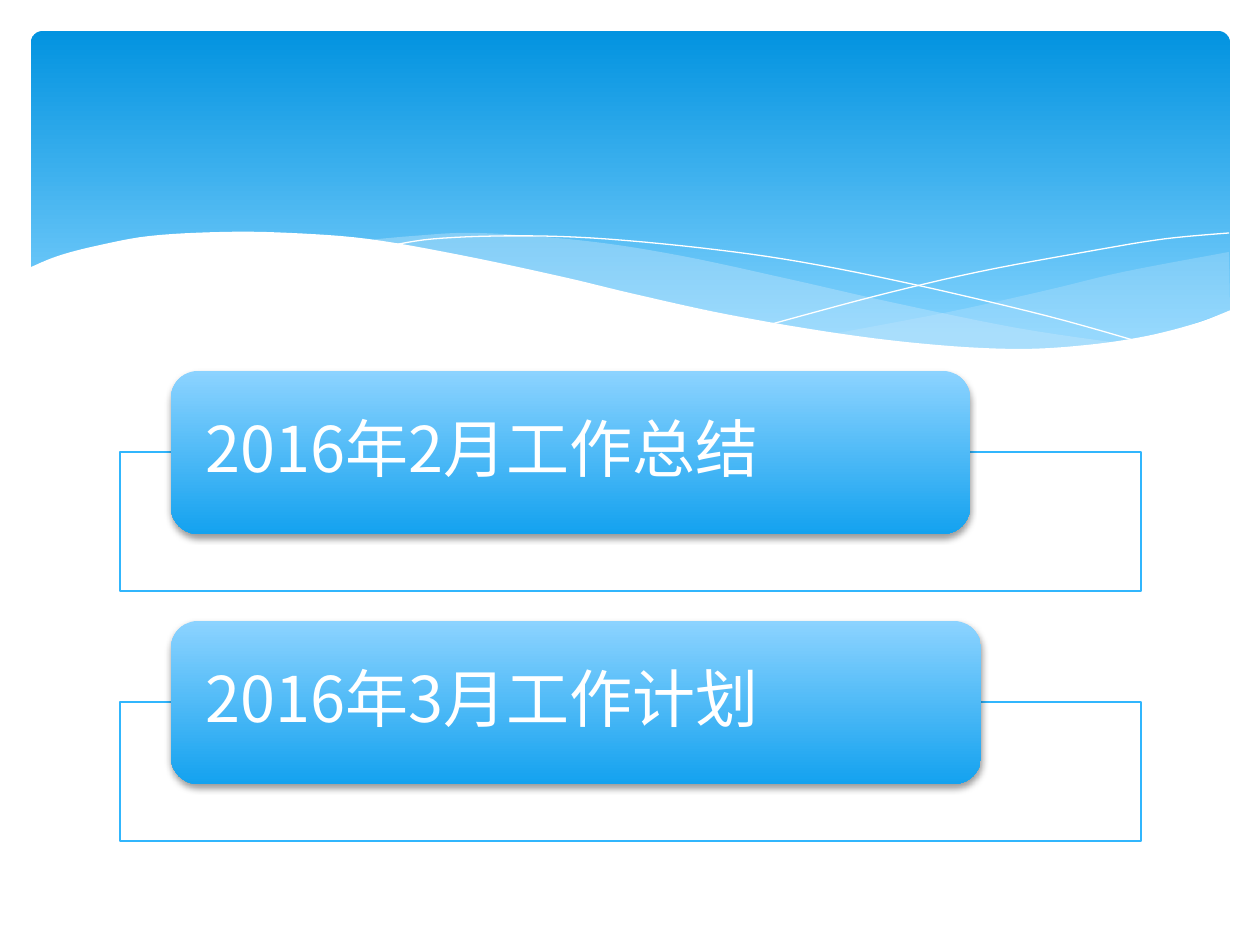
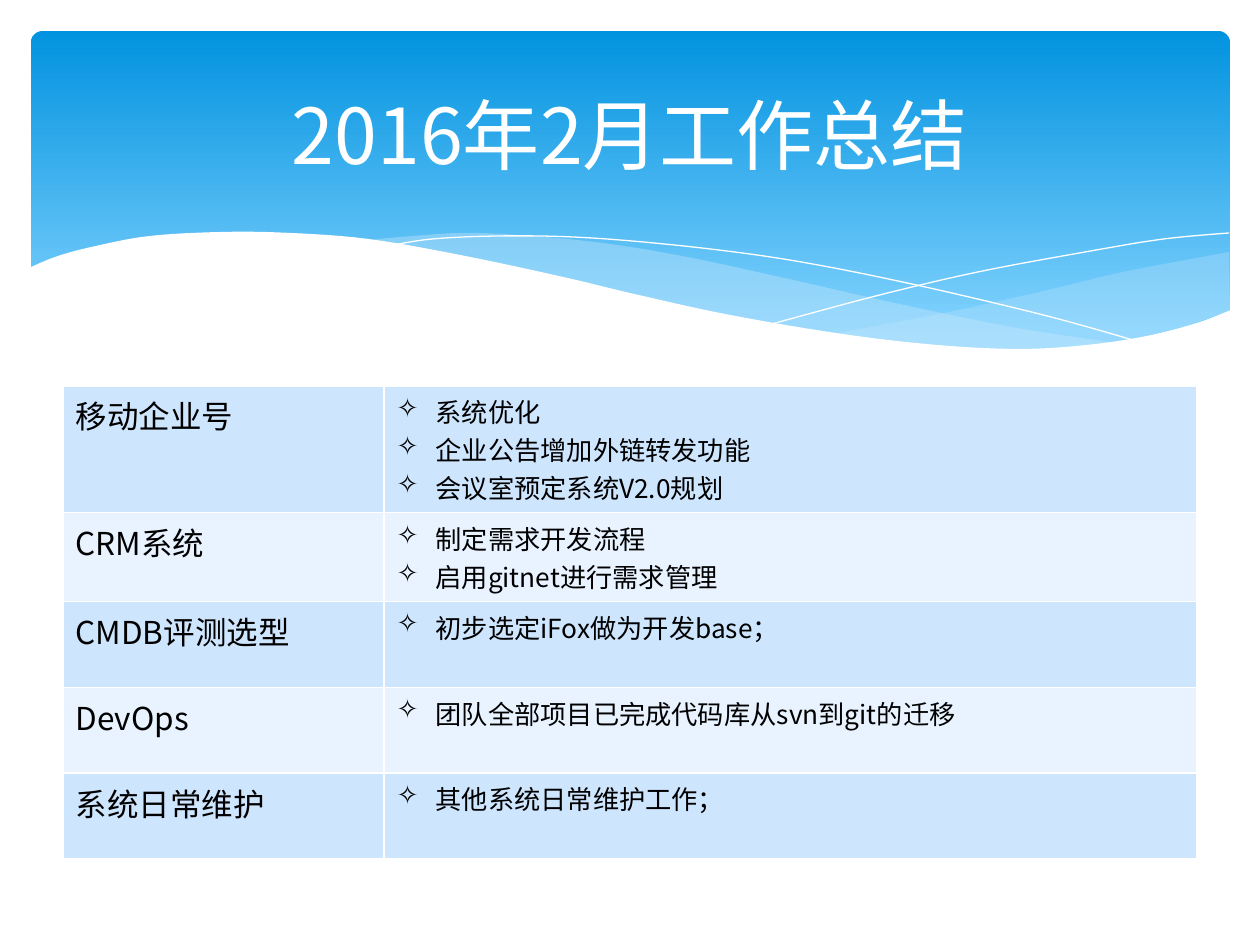
"""Build a two-slide monthly report: an agenda and a work summary table."""
from dataclasses import dataclass
from itertools import chain
from typing import Optional

from lxml.etree import SubElement
from pptx import Presentation
from pptx.dml.color import RGBColor
from pptx.enum.shapes import MSO_SHAPE as Preset
from pptx.enum.text import MSO_ANCHOR as Anchor, PP_ALIGN as Align
from pptx.oxml.ns import qn
from pptx.util import Emu, Pt

SCALE = 914400 / 126
FONT = "Noto Sans CJK SC"
WHITE = RGBColor(0xFF, 0xFF, 0xFF)
BLACK = RGBColor(0, 0, 0)
BAND_TOP = RGBColor(0x02, 0x93, 0xE0)
BAND_BOTTOM = RGBColor(0x83, 0xD3, 0xFE)
MIST = RGBColor(0xC6, 0xE7, 0xFC)
FRAME_LINE = RGBColor(0x31, 0xB6, 0xFD)
LABEL_TOP = RGBColor(0x8C, 0xD3, 0xFF)
LABEL_BOTTOM = RGBColor(0x14, 0xA2, 0xEF)
ROW_FILLS = (RGBColor(0xCE, 0xE5, 0xFE), RGBColor(0xE8, 0xF3, 0xFF))
BULLET = "✧"
BULLET_INDENT = 39
SUMMARY_TITLE = "2016年2月工作总结"

Point = tuple[float, float]


@dataclass(frozen=True)
class Wave:
    """A smooth outline made of edges, filled or drawn as a hairline."""
    edges: tuple[tuple[Point, ...], ...]
    fill: Optional[RGBColor] = None
    opacity: int = 100


@dataclass(frozen=True)
class AgendaItem:
    """One agenda label with its width."""
    label: str
    width: int


@dataclass(frozen=True)
class WorkArea:
    """One table row: an area and what was done in it."""
    name: str
    results: tuple[str, ...]


WAVES = (
    Wave((((1229, 252), (1123, 272), (1048, 290), (949, 312), (833, 334)),
          ((833, 334), (888, 341), (954, 348), (1026, 350), (1099, 345),
           (1160, 334), (1230, 311))), MIST, 29),
    Wave((((1125, 344), (1017, 328), (890, 302), (793, 280), (682, 256),
           (586, 241), (479, 233), (413, 236), (360, 241)),
          ((360, 241), (456, 256), (566, 280), (668, 302), (779, 325),
           (876, 340), (959, 349), (1031, 350), (1080, 349), (1125, 344))), MIST, 40),
    Wave((((389, 246), (433, 239), (505, 236), (591, 238), (701, 248),
           (801, 262), (916, 285), (1047, 316), (1143, 343)),)),
    Wave((((772, 324), (876, 296), (978, 272), (1091, 251), (1164, 239), (1229, 233)),)),
    Wave((((1231, 310), (1197, 323), (1147, 336), (1087, 345), (1019, 349),
           (937, 345), (842, 334), (730, 315), (634, 294), (563, 277), (460, 255),
           (368, 239), (290, 233), (223, 232), (150, 236), (96, 246), (58, 256),
           (29, 268)), ((29, 415), (1231, 415))), WHITE),
)
AGENDA = (AgendaItem(SUMMARY_TITLE, 799), AgendaItem("2016年3月工作计划", 810))
WORK_AREAS = (
    WorkArea("移动企业号", ("系统优化", "企业公告增加外链转发功能", "会议室预定系统V2.0规划")),
    WorkArea("CRM系统", ("制定需求开发流程", "启用gitnet进行需求管理")),
    WorkArea("CMDB评测选型", ("初步选定iFox做为开发base；",)),
    WorkArea("DevOps", ("团队全部项目已完成代码库从svn到git的迁移",)),
    WorkArea("系统日常维护", ("其他系统日常维护工作；",)),
)


def px(length: float) -> Emu:
    """Turn pixels into EMU."""
    return Emu(round(length * SCALE))


def box(*lengths: float) -> list[Emu]:
    """Turn left, top, width and height into EMU."""
    return [px(length) for length in lengths]


def write(frame, lines, *, size, color, align=Align.LEFT, bullet=None, spacing=None) -> None:
    """Write one formatted paragraph per line into a text frame."""
    for index, line in enumerate(lines):
        paragraph = frame.add_paragraph() if index else frame.paragraphs[0]
        paragraph.alignment = align
        if spacing:
            paragraph.line_spacing = spacing
        if bullet:
            props = paragraph._p.get_or_add_pPr()
            props.set("marL", str(px(BULLET_INDENT)))
            props.set("indent", str(-px(BULLET_INDENT)))
            SubElement(props, qn("a:buChar"), char=bullet)
        run = paragraph.add_run()
        run.text = line
        run.font.size = Pt(size)
        run.font.color.rgb = color
        run.font.name = FONT
        SubElement(run._r.get_or_add_rPr(), qn("a:ea"), typeface=FONT)


def fill_gradient(shape, top: RGBColor, bottom: RGBColor, end: float) -> None:
    """Fill a shape from top to bottom with two colours."""
    shape.fill.gradient()
    shape.fill.gradient_angle = 270
    for stop, color, position in zip(shape.fill.gradient_stops, (top, bottom), (0, end)):
        stop.color.rgb = color
        stop.position = position


def add_panel(slide, preset, place, line: Optional[RGBColor] = None):
    """Add a shadowless preset shape with a thin line or none."""
    panel = slide.shapes.add_shape(preset, *box(*place))
    panel.shadow.inherit = False
    if line is None:
        panel.line.fill.background()
    else:
        panel.line.color.rgb = line
        panel.line.width = Pt(0.75)
    return panel


def smooth(anchors: tuple[Point, ...], steps: int = 6) -> list[Point]:
    """Run a Catmull-Rom curve through the anchors."""
    if len(anchors) < 3:
        return list(anchors)
    padded = (anchors[0], *anchors, anchors[-1])
    curve = []
    for quad in zip(padded, padded[1:], padded[2:], padded[3:]):
        for step in range(steps):
            t = step / steps
            curve.append(tuple(
                (2 * b + (c - a) * t + (2 * a - 5 * b + 4 * c - d) * t ** 2
                 + (3 * b - a - 3 * c + d) * t ** 3) / 2
                for a, b, c, d in zip(*quad)))
    return curve + [anchors[-1]]


def draw_wave(slide, wave: Wave) -> None:
    """Draw one wave of the header."""
    outline = [(px(x), px(y)) for x, y in chain.from_iterable(map(smooth, wave.edges))]
    builder = slide.shapes.build_freeform(*outline[0])
    builder.add_line_segments(outline[1:], close=wave.fill is not None)
    shape = builder.convert_to_shape()
    shape.shadow.inherit = False
    if wave.fill is None:
        shape.fill.background()
        shape.line.color.rgb = WHITE
        shape.line.width = Pt(0)
        return
    shape.line.fill.background()
    shape.fill.solid()
    shape.fill.fore_color.rgb = wave.fill
    if wave.opacity < 100:
        color = shape.element.spPr.find(f".//{qn('a:srgbClr')}")
        SubElement(color, qn("a:alpha"), val=str(wave.opacity * 1000))


def move_header_to_layout(slide, layout) -> None:
    """Draw the header band once and hand it to the shared layout."""
    for holder in list(layout.placeholders)[1:]:
        layout.shapes.element.remove(holder.element)
    present = len(slide.shapes)
    band = add_panel(slide, Preset.ROUNDED_RECTANGLE, (31, 31, 1199, 340))
    band.adjustments[0] = 0.034
    fill_gradient(band, BAND_TOP, BAND_BOTTOM, 0.9)
    for wave in WAVES:
        draw_wave(slide, wave)
    for part in list(slide.shapes)[present:]:
        layout.shapes.element.append(part.element)


def draw_agenda_item(slide, item: AgendaItem, top: int) -> None:
    """Draw an outlined frame with a raised label on its upper edge."""
    frame = add_panel(slide, Preset.RECTANGLE, (120, top + 81, 1021, 139), FRAME_LINE)
    frame.fill.solid()
    frame.fill.fore_color.rgb = WHITE
    label = add_panel(slide, Preset.ROUNDED_RECTANGLE, (171, top, item.width, 163))
    fill_gradient(label, LABEL_TOP, LABEL_BOTTOM, 1)
    effects = label.element.spPr.find(qn("a:effectLst"))
    shadow = SubElement(effects, qn("a:outerShdw"), blurRad=str(Pt(4)), dist=str(Pt(2)),
                        dir="5400000", rotWithShape="0")
    color = SubElement(shadow, qn("a:srgbClr"), val=str(BLACK))
    SubElement(color, qn("a:alpha"), val="38000")
    text = label.text_frame
    text.word_wrap = True
    text.vertical_anchor = Anchor.MIDDLE
    text.margin_left = text.margin_right = px(27)
    text.margin_top = text.margin_bottom = 0
    write(text, [item.label], size=36, color=WHITE, spacing=0.9)


def style_cell(cell, fill: RGBColor) -> None:
    """Give a cell white borders and a plain fill."""
    props = cell._tc.get_or_add_tcPr()
    for side in ("lnL", "lnR", "lnT", "lnB"):
        border = SubElement(props, qn(f"a:{side}"), w=str(Pt(1)))
        SubElement(SubElement(border, qn("a:solidFill")), qn("a:srgbClr"), val=str(WHITE))
    cell.fill.solid()
    cell.fill.fore_color.rgb = fill


def draw_work_table(slide, areas: tuple[WorkArea, ...]) -> None:
    """Draw the table of work areas and results."""
    row_height = 86
    table = slide.shapes.add_table(
        len(areas), 2, *box(63, 386, 1134, row_height * len(areas))).table
    table.first_row = table.horz_banding = False
    for column, width in zip(table.columns, (321, 813)):
        column.width = px(width)
    for index, area in enumerate(areas):
        table.rows[index].height = px(row_height)
        name, results = table.rows[index].cells
        for cell in (name, results):
            style_cell(cell, ROW_FILLS[index % 2])
        write(name.text_frame, [area.name], size=18, color=BLACK)
        write(results.text_frame, area.results, size=15, color=BLACK, bullet=BULLET)


def set_title(slide, title: str) -> None:
    """Place and write the slide title."""
    holder = slide.shapes.title
    holder.left, holder.top, holder.width, holder.height = box(63, 47, 1134, 173)
    holder.text_frame.vertical_anchor = Anchor.MIDDLE
    write(holder.text_frame, [title], size=44, color=WHITE, align=Align.CENTER)


def main() -> None:
    """Build and save the presentation."""
    deck = Presentation()
    deck.slide_width, deck.slide_height = px(1260), px(945)
    layout = deck.slide_layouts[5]
    agenda = deck.slides.add_slide(layout)
    move_header_to_layout(agenda, layout)
    agenda.shapes.element.remove(agenda.shapes.title.element)
    for index, item in enumerate(AGENDA):
        draw_agenda_item(agenda, item, 371 + 250 * index)

    summary = deck.slides.add_slide(layout)
    set_title(summary, SUMMARY_TITLE)
    draw_work_table(summary, WORK_AREAS)
    deck.save("out.pptx")


main()
